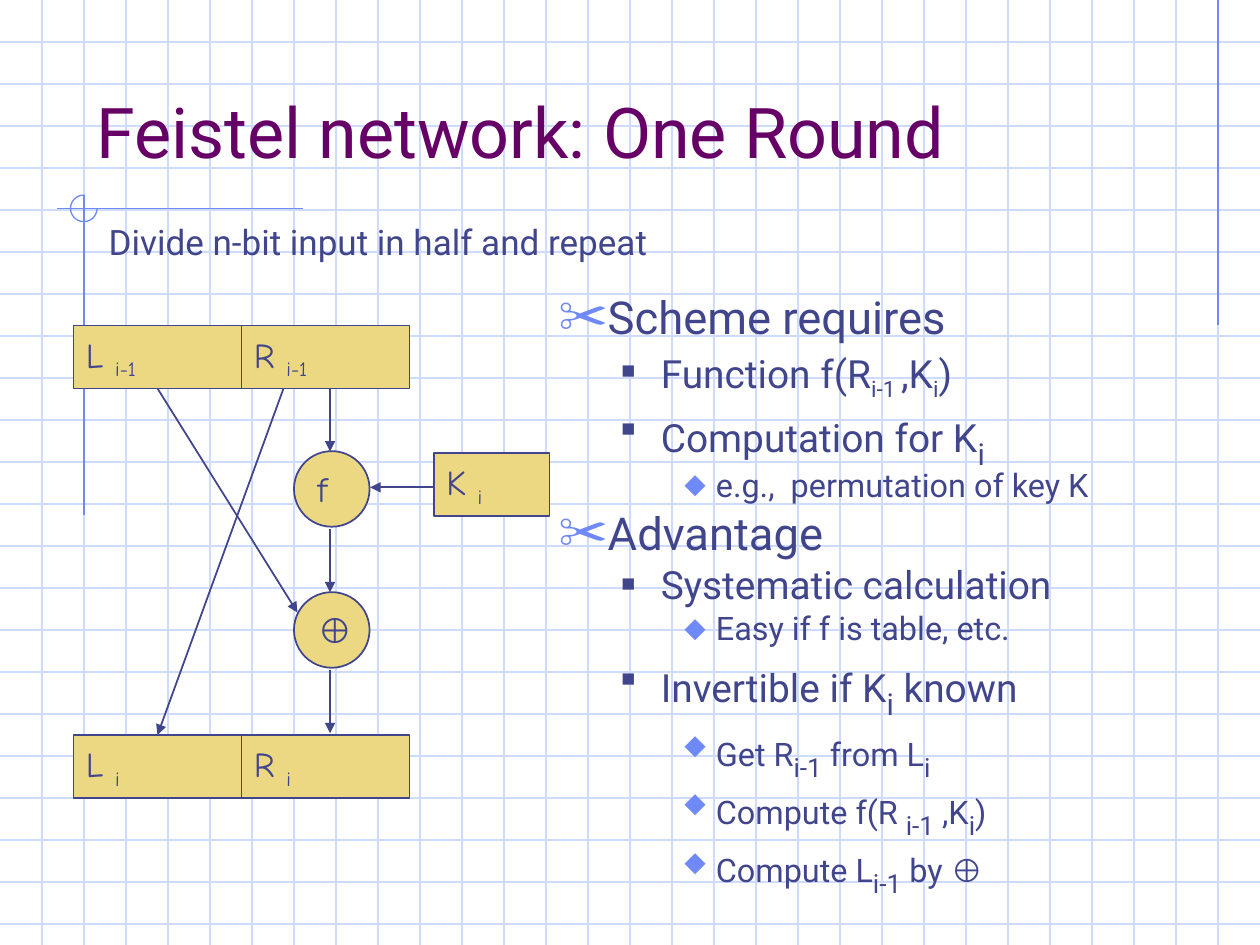
import itertools
import lxml.etree
import pptx
import pptx.dml.color
import pptx.enum.shapes
import pptx.enum.text
import pptx.oxml.ns
import pptx.util

Pt = pptx.util.Pt
Anchor = pptx.enum.text.MSO_ANCHOR
Shape = pptx.enum.shapes.MSO_SHAPE
INK, BLUE, GRID = "40458C", "6F89F7", "CFDBFD"
GOLD, PLUM = "ECD882", "660066"

# level: left, hanging indent, bullet, its colour, its size in %, text size, space before
LEVELS = [
    (27, 27, "✂", BLUE, 110, 25.9, 7),
    (58.5, 22.5, "■", INK, 60, 22.2, 6),
    (90, 18, "⬥", BLUE, 95, 18.5, 5),
]
# level, text with subscripts between bars, subscript size
POINTS = [
    (0, "Scheme requires", None),
    (1, "Function f(R|i-1 |,K|i|)", 22.2),
    (1, "Computation for K|i", 29.6),
    (2, "e.g.,  permutation of key K", None),
    (0, "Advantage", None),
    (1, "Systematic calculation", None),
    (2, "Easy if f is table, etc.", None),
    (1, "Invertible if K|i| known", 29.6),
    (2, "Get R|i-1| from L|i", 25.9),
    (2, "Compute f(R |i-1| ,K|i|)", 25.9),
    (2, "Compute L|i-1| by ⊕", 25.9),
]


def color(code):
    return pptx.dml.color.RGBColor.from_string(code)


def child(parent, tag, **attrs):
    node = lxml.etree.SubElement(parent, pptx.oxml.ns.qn(tag))
    for key, value in attrs.items():
        node.set(key, str(value))
    return node


def line(slide, x1, y1, x2, y2, code=INK, width=1, arrow=False):
    link = slide.shapes.add_connector(
        pptx.enum.shapes.MSO_CONNECTOR.STRAIGHT, Pt(x1), Pt(y1), Pt(x2), Pt(y2))
    link.line.color.rgb = color(code)
    link.line.width = Pt(width)
    props = link._element.spPr
    if arrow:
        child(props.find(pptx.oxml.ns.qn("a:ln")), "a:tailEnd", type="triangle")
    child(props, "a:effectLst")


def write(para, text, size, font="Roboto", code=INK, sub=None):
    """Fill a paragraph; odd parts between bars are subscripts."""
    para.alignment = pptx.enum.text.PP_ALIGN.LEFT
    para.font.name = font
    para.font.color.rgb = color(code)
    para.font.size = Pt(size)
    for n, part in enumerate(text.split("|")):
        for sign, chars in itertools.groupby(part, lambda c: c == "⊕"):
            run = para.add_run()
            run.text = "".join(chars)
            if sign:
                run.font.name = "Arial"
            if n % 2:
                run.font.size = Pt(sub or size)
                run.font._element.set("baseline", "-25000")


def box(slide, x, y, w, h, anchor, wrap=True):
    frame = slide.shapes.add_textbox(Pt(x), Pt(y), Pt(w), Pt(h)).text_frame
    frame.word_wrap = wrap
    frame.vertical_anchor = anchor
    return frame


def node(slide, kind, x, y, w, h, text):
    shape = slide.shapes.add_shape(kind, Pt(x), Pt(y), Pt(w), Pt(h))
    shape.shadow.inherit = False
    shape.fill.solid()
    shape.fill.fore_color.rgb = color(GOLD)
    shape.line.color.rgb = color(INK)
    shape.line.width = Pt(1)
    frame = shape.text_frame
    frame.word_wrap = False
    frame.vertical_anchor = Anchor.MIDDLE
    write(frame.paragraphs[0], text, 20, "Comic Neue")


def bullet(para, level):
    left, hang, mark, code, scale, _, _ = LEVELS[level]
    props = para._p.get_or_add_pPr()
    props.set("marL", str(Pt(left)))
    props.set("indent", str(-Pt(hang)))
    child(child(props, "a:buClr"), "a:srgbClr", val=code)
    child(props, "a:buSzPct", val=scale * 1000)
    child(props, "a:buFont", typeface="Arial")
    child(props, "a:buChar", char=mark)


def backdrop(slide):
    for y in range(24, 540, 24):
        line(slide, 0, y, 720, y, GRID, 0.75)
    for x in range(24, 720, 24):
        line(slide, x, 0, x, 540, GRID, 0.75)
    line(slide, 696, 0, 696, 186, BLUE, 0.75)
    line(slide, 173, 119.2, 32.5, 119.2, BLUE, 0.75)
    line(slide, 48, 111.5, 48, 294.5, BLUE, 0.75)
    arc = slide.shapes.add_shape(Shape.ARC, Pt(40.3), Pt(111.5), Pt(15.2), Pt(15.2))
    arc.adjustments[0], arc.adjustments[1] = 0, 162
    arc.shadow.inherit = False
    arc.fill.background()
    arc.line.color.rgb = color(BLUE)
    arc.line.width = Pt(0.75)


def outline(slide):
    frame = box(slide, 312, 168, 384, 327, Anchor.TOP)
    for n, (level, text, sub) in enumerate(POINTS):
        para = frame.add_paragraph() if n else frame.paragraphs[0]
        size, gap = LEVELS[level][5:]
        para.line_spacing = 0.8
        if n:
            para.space_before = Pt(7 if text.startswith("Get") else gap)
        bullet(para, level)
        write(para, text, size, sub=sub)


def diagram(slide):
    for y, mark in ((186, "i-1"), (420, "i")):
        for x, half in ((42, "L"), (138, "R")):
            node(slide, Shape.RECTANGLE, x, y, 96, 36, f"{half} |{mark}")
    for y, text in ((257.8, "f"), (338.4, "⊕")):
        node(slide, Shape.OVAL, 168, y, 43.2, 43.2, text)
    for y in (222, 302.5, 383):
        line(slide, 188.6, y, 188.6, y + 36, arrow=True)
    line(slide, 90, 222, 170, 350, arrow=True)
    line(slide, 162, 222, 90, 420, arrow=True)
    line(slide, 248, 278.5, 211.5, 278.5, arrow=True)
    node(slide, Shape.RECTANGLE, 248, 259, 66, 36, "K |i")


def main():
    deck = pptx.Presentation()
    deck.slide_width, deck.slide_height = Pt(720), Pt(540)
    slide = deck.slides.add_slide(deck.slide_layouts[6])
    backdrop(slide)
    title = box(slide, 48, 24, 612, 78, Anchor.BOTTOM)
    write(title.paragraphs[0], "Feistel network: One Round", 40, code=PLUM)
    outline(slide)
    diagram(slide)
    lead = box(slide, 55, 122.5, 353.5, 31.5, Anchor.MIDDLE, False)
    write(lead.paragraphs[0], "Divide n-bit input in half and repeat", 20)
    deck.save("out.pptx")


if __name__ == "__main__":
    main()
